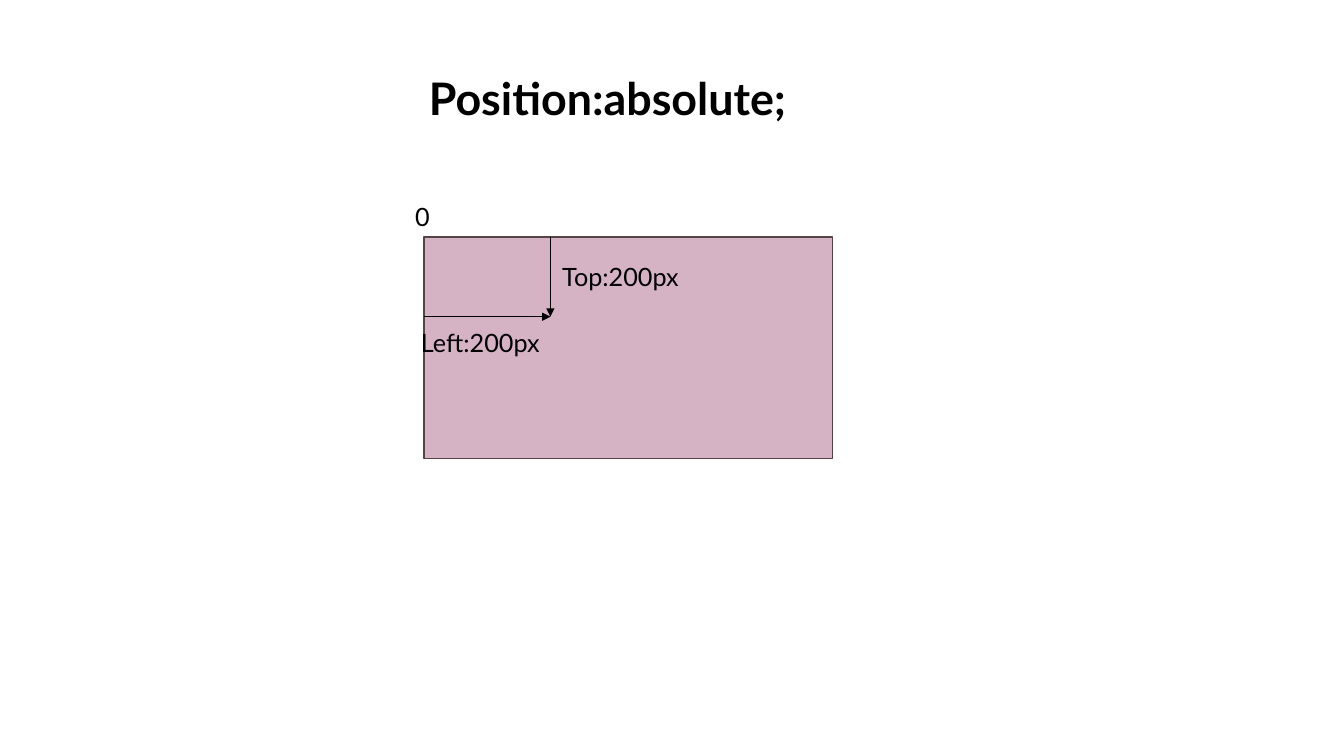
import pptx
import pptx.util
import pptx.dml.color
import pptx.enum.shapes
import pptx.enum.text
import pptx.oxml.ns
from lxml import etree

Cm, Pt = pptx.util.Cm, pptx.util.Pt

# Content: lengths in cm
FONT = "Lato"
COLOURS = {"ink": "000000", "page": "D6B2C5", "edge": "574244"}
TITLE = "Position:absolute;"
PAGE = (10.69, 5.97, 10.29, 5.59)  # left, top, width, height
OFFSET = (3.18, 2.01)  # how far the positioned point lies from the page corner
LABELS = [  # text, left, top, width
    ("0", 10.21, 4.95, 0.94),
    ("Top:200px", 13.92, 6.45, 3.81),
    ("Left:200px", 10.36, 8.13, 3.84),
]
LABEL_HEIGHT = 1.02


def colour(name):
    return pptx.dml.color.RGBColor.from_string(COLOURS[name])


def write(frame, text, size, align, bold=False):
    frame.text = text
    paragraph = frame.paragraphs[0]
    paragraph.alignment = align
    font = paragraph.runs[0].font
    font.name, font.size, font.bold = FONT, Pt(size), bold
    font.color.rgb = colour("ink")
    return paragraph


def add_arrow(slide, start, end):
    arrow = slide.shapes.add_connector(
        pptx.enum.shapes.MSO_CONNECTOR.STRAIGHT, *map(Cm, start + end))
    arrow.line.color.rgb = colour("ink")
    arrow.line.width = Pt(0.5)
    qn = pptx.oxml.ns.qn
    etree.SubElement(arrow.line._get_or_add_ln(), qn("a:tailEnd"), type="triangle")
    etree.SubElement(arrow._element.spPr, qn("a:effectLst"))


def main():
    deck = pptx.Presentation()
    deck.slide_width, deck.slide_height = Cm(33.87), Cm(19.05)
    slide = deck.slides.add_slide(deck.slide_layouts[5])
    align = pptx.enum.text.PP_ALIGN

    # Title
    title = slide.shapes.title
    title.left, title.top, title.width, title.height = map(Cm, (2.97, 0.64, 24.69, 2.64))
    title.text_frame.vertical_anchor = pptx.enum.text.MSO_ANCHOR.BOTTOM
    write(title.text_frame, TITLE, 32, align.CENTER, bold=True).line_spacing = 0.9

    # Page area
    page = slide.shapes.add_shape(
        pptx.enum.shapes.MSO_SHAPE.RECTANGLE, *map(Cm, PAGE))
    page.shadow.inherit = False
    page.fill.solid()
    page.fill.fore_color.rgb = colour("page")
    page.line.color.rgb = colour("edge")
    page.line.width = Pt(1)

    # Arrows from the page's top and left edges to the positioned point
    left, top = PAGE[:2]
    point = (left + OFFSET[0], top + OFFSET[1])
    add_arrow(slide, (point[0], top), point)
    add_arrow(slide, (left, point[1]), point)

    # Labels
    for text, x, y, width in LABELS:
        label = slide.shapes.add_textbox(*map(Cm, (x, y, width, LABEL_HEIGHT)))
        label.text_frame.word_wrap = True
        write(label.text_frame, text, 18, align.LEFT)

    deck.save("out.pptx")


if __name__ == "__main__":
    main()
